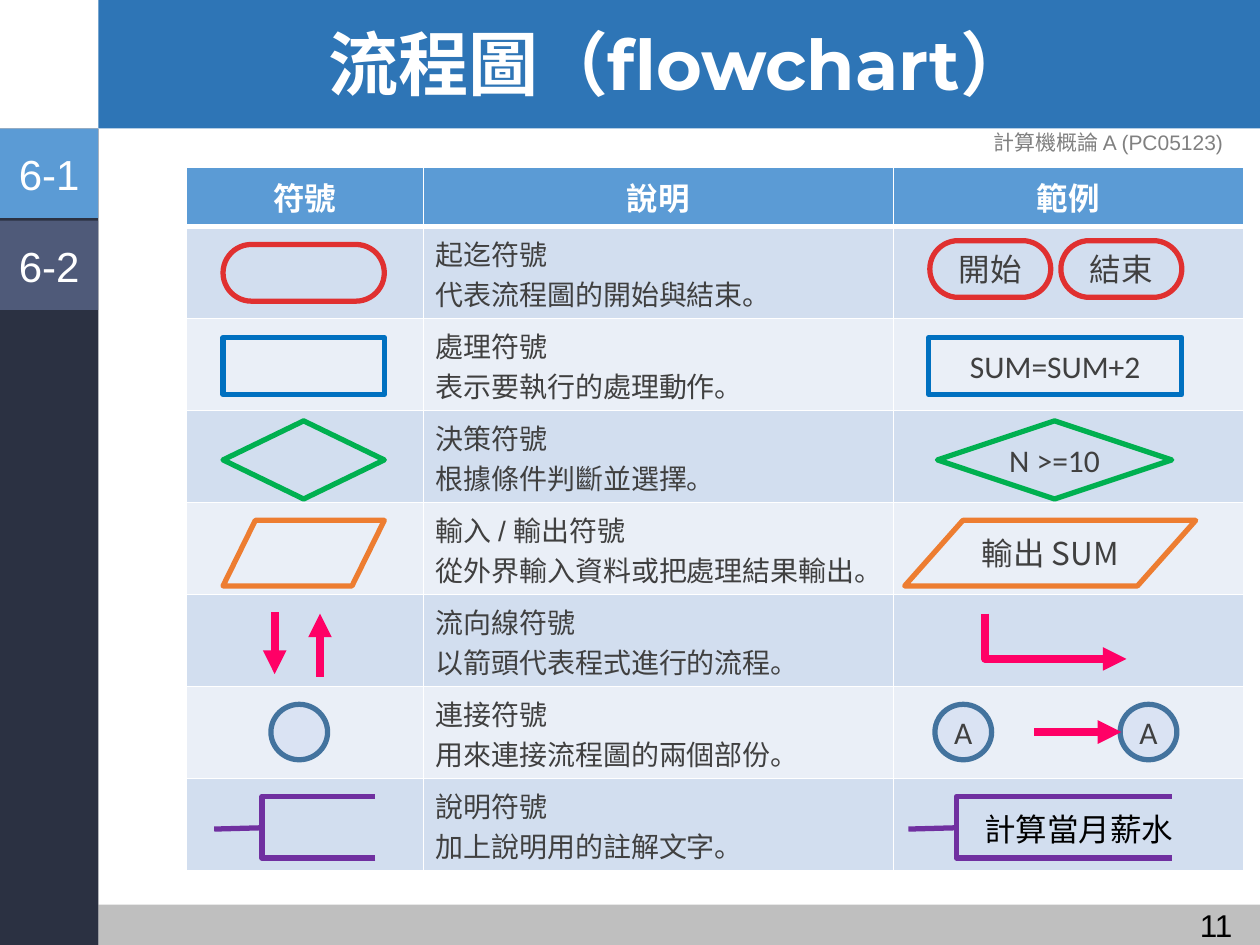
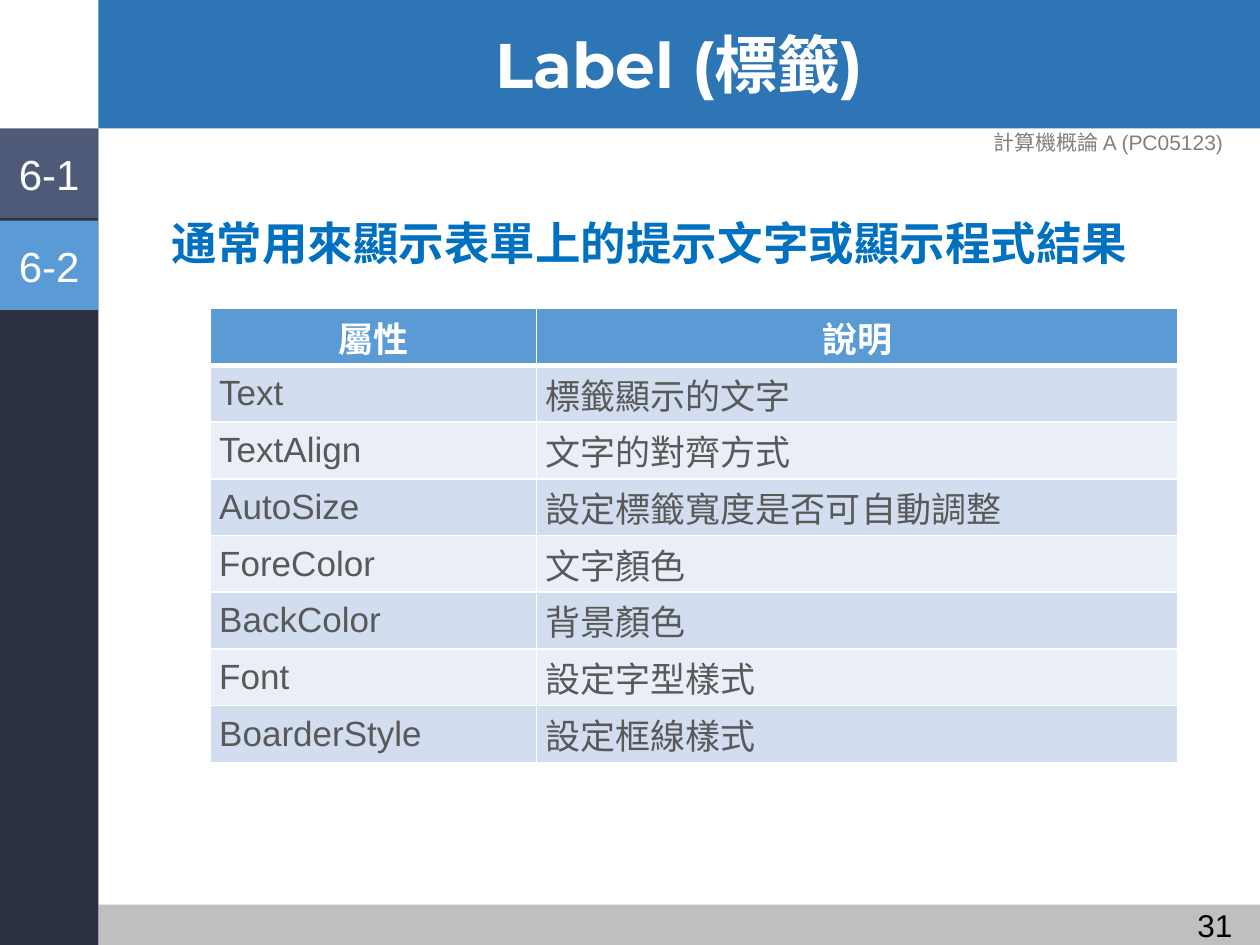
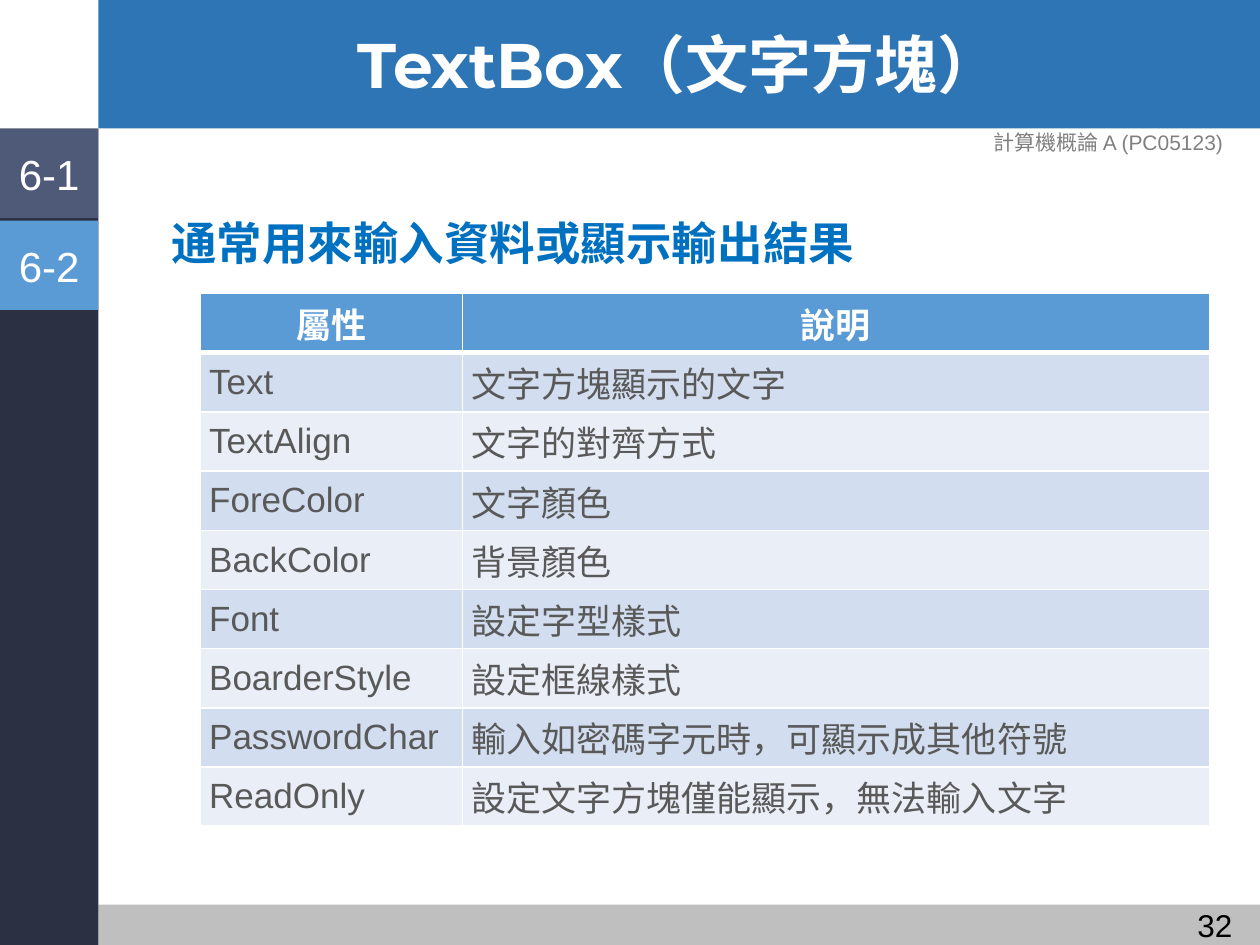
from lxml.etree import SubElement
from pptx import Presentation
from pptx.dml.color import RGBColor
from pptx.enum.shapes import MSO_CONNECTOR as Connector, MSO_SHAPE as Shape
from pptx.enum.text import MSO_ANCHOR as Anchor, MSO_AUTO_SIZE as AutoSize, PP_ALIGN as Align
from pptx.oxml.ns import qn
from pptx.util import Inches, Pt

WHITE, BLACK = "FFFFFF", "000000"
TITLE_BLUE, ACCENT_BLUE, LEAD_BLUE = "2E75B6", "5B9BD5", "0070C0"
NAVY, SLATE, BAND_GRAY, COURSE_GRAY = "2B3142", "4F5A79", "BFBFBF", "808080"
DARK_TEXT, GRAY_TEXT = "404040", "595959"
ROW_FILLS = ["EAEFF7", "D2DEEF"]
RED, GREEN, ORANGE, PURPLE, PINK = "E03030", "00B050", "ED7D31", "7030A0", "FF0066"
CIRCLE_FILL, CIRCLE_LINE = "DAE3F3", "43739E"
CJK = "Noto Sans CJK SC"
rgb = RGBColor.from_string


def write(text_frame, text, size, color, font="Arial", bold=False, align=Align.CENTER):
    text_frame.text = text
    for paragraph in text_frame.paragraphs:
        paragraph.alignment = align
        paragraph.font.size = Pt(size)
        paragraph.font.name = font
        paragraph.font.bold = bold
        paragraph.font.color.rgb = rgb(color)


def draw_shape(slide, kind, left, top, width, height, fill=None, line=None):
    shape = slide.shapes.add_shape(kind, Inches(left), Inches(top), Inches(width), Inches(height))
    shape.shadow.inherit = False
    if fill:
        shape.fill.solid()
        shape.fill.fore_color.rgb = rgb(fill)
    else:
        shape.fill.background()
    if line:
        shape.line.color.rgb = rgb(line)
        shape.line.width = Pt(3)
    else:
        shape.line.fill.background()
    shape.text_frame.word_wrap = False
    shape.text_frame.vertical_anchor = Anchor.MIDDLE
    return shape


presentation = Presentation()
presentation.slide_width, presentation.slide_height = Inches(10), Inches(7.5)

pages = [
    {
        "title": "流程圖（flowchart）", "title_size": 40, "number": "11", "chapter": "6-1", "lead": None,
        "at": (1.48, 1.33), "columns": [1.88, 3.73, 2.78], "heights": (0.47, 0.73),
        "head_size": 18, "body_size": 16, "body_color": DARK_TEXT, "compact": False,
        "rows": [
            ("符號", "說明", "範例"),
            ("", "起迄符號\n代表流程圖的開始與結束。", ""),
            ("", "處理符號\n表示要執行的處理動作。", ""),
            ("", "決策符號\n根據條件判斷並選擇。", ""),
            ("", "輸入 / 輸出符號\n從外界輸入資料或把處理結果輸出。", ""),
            ("", "流向線符號\n以箭頭代表程式進行的流程。", ""),
            ("", "連接符號\n用來連接流程圖的兩個部份。", ""),
            ("", "說明符號\n加上說明用的註解文字。", ""),
        ],
    },
    {
        "title": "Label (標籤)", "title_size": 36, "number": "31", "chapter": "6-2",
        "lead": "通常用來顯示表單上的提示文字或顯示程式結果",
        "at": (1.67, 2.45), "columns": [2.59, 5.09], "heights": (0.45, 0.45),
        "head_size": 20, "body_size": 20, "body_color": GRAY_TEXT, "compact": True,
        "rows": [
            ("屬性", "說明"),
            ("Text", "標籤顯示的文字"),
            ("TextAlign", "文字的對齊方式"),
            ("AutoSize", "設定標籤寬度是否可自動調整"),
            ("ForeColor", "文字顏色"),
            ("BackColor", "背景顏色"),
            ("Font", "設定字型樣式"),
            ("BoarderStyle", "設定框線樣式"),
        ],
    },
    {
        "title": "TextBox（文字方塊）", "title_size": 36, "number": "32", "chapter": "6-2",
        "lead": "通常用來輸入資料或顯示輸出結果",
        "at": (1.59, 2.33), "columns": [2.08, 5.93], "heights": (0.47, 0.47),
        "head_size": 20, "body_size": 20, "body_color": GRAY_TEXT, "compact": True,
        "rows": [
            ("屬性", "說明"),
            ("Text", "文字方塊顯示的文字"),
            ("TextAlign", "文字的對齊方式"),
            ("ForeColor", "文字顏色"),
            ("BackColor", "背景顏色"),
            ("Font", "設定字型樣式"),
            ("BoarderStyle", "設定框線樣式"),
            ("PasswordChar", "輸入如密碼字元時，可顯示成其他符號"),
            ("ReadOnly", "設定文字方塊僅能顯示，無法輸入文字"),
        ],
    },
]

for page in pages:
    layout = presentation.slide_layouts[1 if page["lead"] else 5]
    slide = presentation.slides.add_slide(layout)

    title = slide.shapes.title
    title.left, title.top, title.width, title.height = Inches(0.78), Inches(0.03), Inches(9.22), Inches(1.02)
    write(title.text_frame, page["title"], page["title_size"], WHITE, "Montserrat", True)
    title.text_frame.auto_size = AutoSize.NONE
    title.text_frame.vertical_anchor = Anchor.MIDDLE
    title.text_frame.paragraphs[0].line_spacing = 0.9

    if page["lead"]:
        body = slide.placeholders[1]
        body.left, body.top, body.width, body.height = Inches(1.26), Inches(1.56), Inches(8.3), Inches(5.38)
        body.text_frame.text = page["lead"]
        body.text_frame.auto_size = AutoSize.NONE
        paragraph = body.text_frame.paragraphs[0]
        paragraph.line_spacing = Pt(38)
        paragraph.space_before = Pt(0)
        properties = paragraph._p.get_or_add_pPr()
        properties.set("marL", "0")
        properties.set("indent", "0")
        SubElement(properties, qn("a:buNone"))
        paragraph.alignment = Align.JUSTIFY
        paragraph.font.size = Pt(26)
        paragraph.font.name = "Arial"
        paragraph.font.bold = True
        paragraph.font.color.rgb = rgb(LEAD_BLUE)

    number = slide.shapes.add_textbox(Inches(8.82), Inches(7.14), Inches(1.06), Inches(0.4))
    number.text_frame.word_wrap = True
    write(number.text_frame, page["number"], 18, BLACK, align=Align.RIGHT)
    course = slide.shapes.add_textbox(Inches(7.59), Inches(0.93), Inches(2.41), Inches(0.4))
    course.text_frame.word_wrap = True
    course.text_frame.vertical_anchor = Anchor.MIDDLE
    write(course.text_frame, "計算機概論 A (PC05123)", 12, COURSE_GRAY)

    left, top = page["at"]
    head_height, row_height = page["heights"]
    rows, columns = page["rows"], page["columns"]
    table_height = head_height + row_height * (len(rows) - 1)
    table = slide.shapes.add_table(len(rows), len(columns), Inches(left), Inches(top),
                                   Inches(sum(columns)), Inches(table_height)).table
    for column, width in zip(table.columns, columns):
        column.width = Inches(width)
    for row_index, values in enumerate(rows):
        is_head = row_index == 0
        table.rows[row_index].height = Inches(head_height if is_head else row_height)
        for column_index, value in enumerate(values):
            cell = table.cell(row_index, column_index)
            cell_properties = cell._tc.get_or_add_tcPr()
            for side in "LRTB":
                thick = (row_index, side) in [(0, "B"), (1, "T")]
                border = SubElement(cell_properties, qn(f"a:ln{side}"), w=str(Pt(3 if thick else 1)))
                SubElement(SubElement(border, qn("a:solidFill")), qn("a:srgbClr"), val=WHITE)
            cell.fill.solid()
            cell.fill.fore_color.rgb = rgb(ACCENT_BLUE if is_head else ROW_FILLS[row_index % 2])
            if page["compact"]:
                cell.margin_left = cell.margin_right = Inches(0.07)
                cell.margin_top = cell.margin_bottom = 0
            if page["compact"] or not is_head:
                cell.vertical_anchor = Anchor.MIDDLE
            if is_head:
                write(cell.text_frame, value, page["head_size"], WHITE, bold=True)
            elif value:
                align = Align.JUSTIFY if page["compact"] else Align.LEFT
                write(cell.text_frame, value, page["body_size"], page["body_color"], align=align)

    for index, chapter in enumerate(["6-1", "6-2"]):
        fill = ACCENT_BLUE if chapter == page["chapter"] else SLATE
        tab = draw_shape(slide, Shape.RECTANGLE, 0, 1.02 + 0.73 * index, 0.78, 0.71, fill)
        frame = tab.text_frame
        frame.margin_left = frame.margin_right = frame.margin_top = frame.margin_bottom = Inches(0.04)
        write(frame, chapter, 24, WHITE)

flowchart_slide = presentation.slides[0]

master_shapes = presentation.slide_master.shapes.element
bands = [
    (0.78, 0, 9.22, 1.02, TITLE_BLUE),
    (0.78, 7.18, 9.22, 0.32, BAND_GRAY),
    (-0.01, 1.02, 0.79, 6.48, NAVY),
]
for position, (left, top, width, height, fill) in enumerate(bands, start=2):
    band = draw_shape(flowchart_slide, Shape.RECTANGLE, left, top, width, height, fill)
    master_shapes.insert(position, band.element)

symbols = [
    (Shape.ROUNDED_RECTANGLE, 1.94, 0.45, None, RED, 0.5, [(1.77, 1.28, "", CJK)]),
    (Shape.ROUNDED_RECTANGLE, 1.91, 0.45, None, RED, 0.5,
     [(7.38, 0.96, "開始", CJK), (8.42, 0.96, "結束", CJK)]),
    (Shape.FLOWCHART_PROCESS, 2.68, 0.45, None, LEAD_BLUE, None,
     [(1.77, 1.28, "", CJK), (7.37, 2.01, "SUM=SUM+2", "Calibri")]),
    (Shape.FLOWCHART_DECISION, 3.34, 0.62, None, GREEN, None,
     [(1.77, 1.28, "", CJK), (7.44, 1.86, "N >=10", "Calibri")]),
    (Shape.FLOWCHART_DATA, 4.13, 0.52, None, ORANGE, None,
     [(1.77, 1.28, "", CJK), (7.18, 2.31, "輸出 SUM", CJK)]),
    (Shape.OVAL, 5.59, 0.44, CIRCLE_FILL, CIRCLE_LINE, None,
     [(2.15, 0.45, "", CJK), (7.42, 0.45, "A", "Calibri"), (8.89, 0.45, "A", "Calibri")]),
    (Shape.LEFT_BRACKET, 6.32, 0.49, None, PURPLE, 0, [(2.08, 0.9, "", CJK), (7.59, 1.71, "", CJK)]),
]
for kind, top, height, fill, line, adjustment, places in symbols:
    for left, width, label, font in places:
        symbol = draw_shape(flowchart_slide, kind, left, top, width, height, fill, line)
        if adjustment is not None:
            symbol.adjustments[0] = adjustment
        if label:
            write(symbol.text_frame, label, 18, DARK_TEXT, font)

flow_lines = [
    (Connector.STRAIGHT, 2.18, 4.86, 2.18, 5.35, PINK),
    (Connector.STRAIGHT, 2.54, 5.37, 2.54, 4.87, PINK),
    (Connector.ELBOW, 7.82, 4.87, 8.94, 5.23, PINK),
    (Connector.STRAIGHT, 8.21, 5.81, 8.9, 5.81, PINK),
    (Connector.STRAIGHT, 2.08, 6.57, 1.7, 6.58, PURPLE),
    (Connector.STRAIGHT, 7.59, 6.57, 7.21, 6.58, PURPLE),
]
for kind, start_x, start_y, end_x, end_y, color in flow_lines:
    connector = flowchart_slide.shapes.add_connector(
        kind, Inches(start_x), Inches(start_y), Inches(end_x), Inches(end_y))
    connector.line.color.rgb = rgb(color)
    connector.line.width = Pt(4.5 if color == PINK else 3)
    shape_properties = connector.element.spPr
    if color == PINK:
        SubElement(shape_properties.find(qn("a:ln")), qn("a:tailEnd"), type="triangle")
    if kind == Connector.ELBOW:
        adjustments = shape_properties.find(qn("a:prstGeom")).find(qn("a:avLst"))
        SubElement(adjustments, qn("a:gd"), name="adj1", fmla="val 0")
    SubElement(shape_properties, qn("a:effectLst"))

note = flowchart_slide.shapes.add_textbox(Inches(7.7), Inches(6.38), Inches(1.72), Inches(0.4))
note.text_frame.word_wrap = False
note.text_frame.auto_size = AutoSize.SHAPE_TO_FIT_TEXT
write(note.text_frame, "計算當月薪水", 18, BLACK, CJK)

presentation.save("out.pptx")
